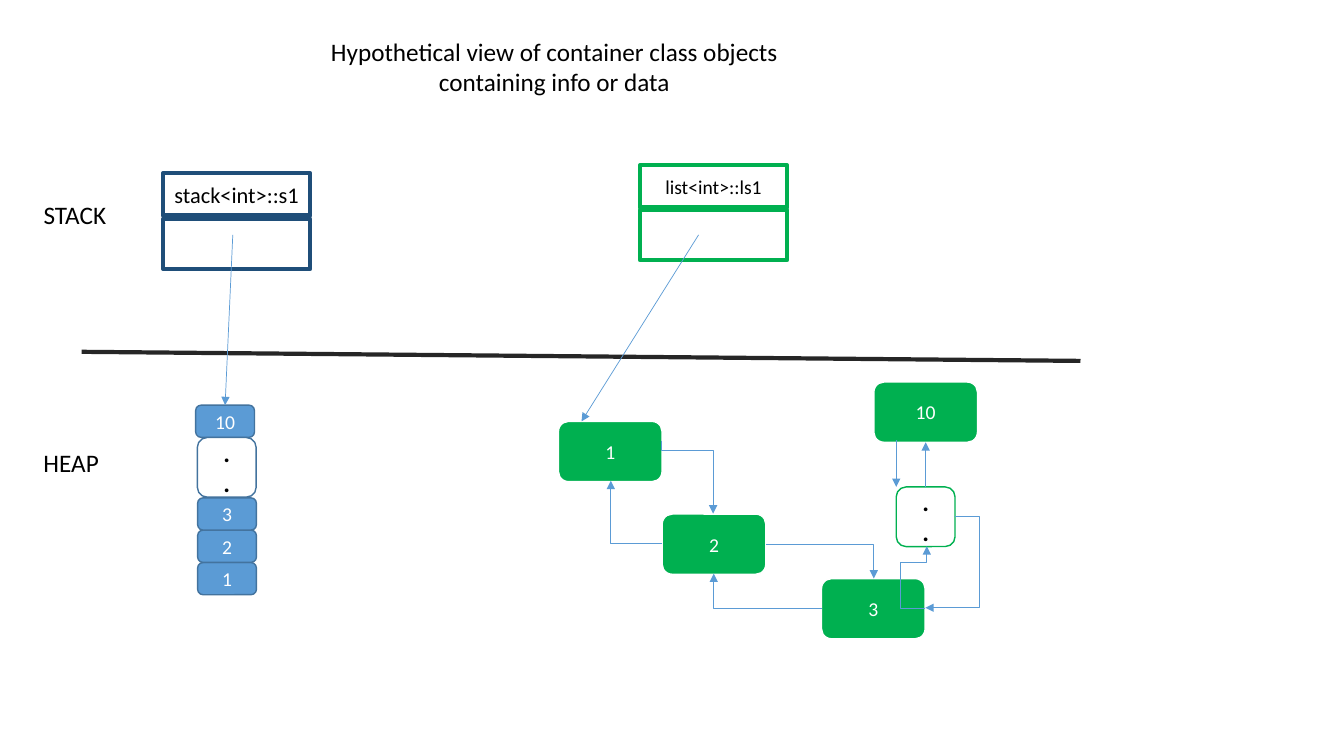
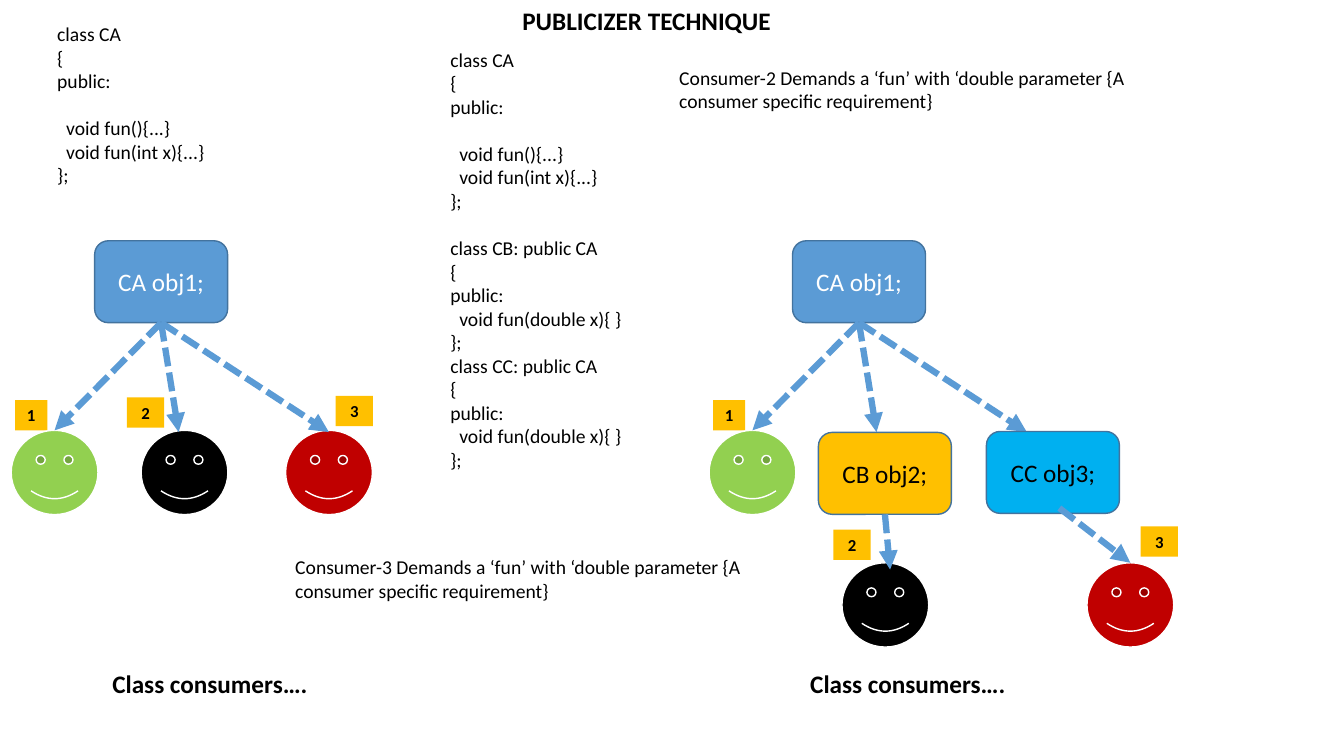
from dataclasses import dataclass
from typing import NamedTuple

from lxml import etree
from pptx import Presentation
from pptx import util as u
from pptx.dml.color import RGBColor
from pptx.enum import dml, shapes, text
from pptx.oxml.ns import qn

Kind = shapes.MSO_SHAPE
Align = text.PP_ALIGN
Anchor = text.MSO_ANCHOR


@dataclass(frozen=True)
class Theme:
    font: str = "Calibri"
    heading: int = 18
    label: int = 16
    body: int = 14
    tag: int = 12
    black: str = "000000"
    white: str = "FFFFFF"
    blue: str = "5B9BD5"
    edge: str = "43739E"
    navy: str = "1F4E79"
    green: str = "00B050"
    lime: str = "92D050"
    red: str = "C00000"
    amber: str = "FFC000"
    sky: str = "00B0F0"
    divider: str = "262626"


T = Theme()


class Point(NamedTuple):
    x: float
    y: float


class Site(NamedTuple):
    """A connection site on a shape: 0 top, 1 left, 2 bottom, 3 right."""
    shape: object
    index: int


class Box(NamedTuple):
    x: float
    y: float
    w: float
    h: float

    def emu(self) -> list:
        return [u.Pt(v) for v in self]


class Elbow(NamedTuple):
    preset: str
    box: Box
    rotation: int = 0
    flip: str = ""
    adjust: tuple = ()


class Consumer(NamedTuple):
    number: int
    color: str
    face: Point
    tag: Point
    tag_width: float = 26.6


def write(tf, content: str, *, size: int = T.body, color: str = T.black, bold: bool = False,
          align=Align.LEFT, anchor=Anchor.TOP) -> None:
    """Write one paragraph per line; blank lines become spacing, leading spaces an indent."""
    tf.word_wrap = True
    tf.auto_size = text.MSO_AUTO_SIZE.NONE
    tf.vertical_anchor = anchor
    p, gap = None, 0
    for line in content.split("\n"):
        if not line:
            gap = size * 1.2
            continue
        p = tf.paragraphs[0] if p is None else tf.add_paragraph()
        p.alignment = align
        p.space_before = u.Pt(gap)
        gap = 0
        if line.startswith(" "):
            p._p.get_or_add_pPr().set("marL", str(u.Pt(6.4)))
        r = p.add_run()
        r.text = line.strip()
        r.font.name, r.font.size, r.font.bold = T.font, u.Pt(size), bold
        r.font.color.rgb = RGBColor.from_string(color)


def add_text(s, box: Box, content: str, **style) -> None:
    write(s.shapes.add_textbox(*box.emu()).text_frame, content, **style)


def add_title(s, box: Box, content: str, bold: bool = False) -> None:
    sp = s.shapes.title
    sp.left, sp.top, sp.width, sp.height = box.emu()
    write(sp.text_frame, content, size=T.heading, bold=bold, align=Align.CENTER)


def add_shape(s, kind, box: Box, fill: str, line: str = "", width: float = 1,
              content: str = "", anchor=Anchor.MIDDLE, **style):
    sp = s.shapes.add_shape(kind, *box.emu())
    sp.shadow.inherit = False
    sp.fill.solid()
    sp.fill.fore_color.rgb = RGBColor.from_string(fill)
    if line:
        sp.line.color.rgb = RGBColor.from_string(line)
        sp.line.width = u.Pt(width)
    else:
        sp.line.fill.background()
    if content:
        write(sp.text_frame, content, align=Align.CENTER, anchor=anchor, **style)
    return sp


def style_line(c, color: str, width: float, dashed: bool, arrow: bool) -> None:
    c.line.color.rgb = RGBColor.from_string(color)
    c.line.width = u.Pt(width)
    if dashed:
        c.line.dash_style = dml.MSO_LINE.SQUARE_DOT
    properties = c._element.spPr
    if arrow:
        etree.SubElement(properties.find(qn("a:ln")), qn("a:tailEnd"), type="triangle")
    etree.SubElement(properties, qn("a:effectLst"))


def connect(s, start: Point | Site, end: Point | Site, *, color: str = T.blue,
            width: float = 0.5, dashed: bool = False, arrow: bool = True) -> None:
    """Draw a straight line, joined to a shape at each end given as a Site."""
    a, b = (e if isinstance(e, Point) else Point(0, 0) for e in (start, end))
    c = s.shapes.add_connector(shapes.MSO_CONNECTOR.STRAIGHT,
                               u.Pt(a.x), u.Pt(a.y), u.Pt(b.x), u.Pt(b.y))
    if isinstance(start, Site):
        c.begin_connect(*start)
    if isinstance(end, Site):
        c.end_connect(*end)
    style_line(c, color, width, dashed, arrow)


def add_elbow(s, elbow: Elbow) -> None:
    x, y, w, h = elbow.box
    c = s.shapes.add_connector(shapes.MSO_CONNECTOR.ELBOW,
                               u.Pt(x), u.Pt(y), u.Pt(x + w), u.Pt(y + h))
    xfrm = c._element.spPr.find(qn("a:xfrm"))
    if elbow.rotation:
        xfrm.set("rot", str(elbow.rotation * 60000))
    if elbow.flip:
        xfrm.set(f"flip{elbow.flip}", "1")
    geometry = c._element.spPr.find(qn("a:prstGeom"))
    geometry.set("prst", elbow.preset)
    guides = geometry.find(qn("a:avLst"))
    for i, value in enumerate(elbow.adjust, 1):
        etree.SubElement(guides, qn("a:gd"), name=f"adj{i}",
                         fmla=f"val {round(value * 100000)}")
    style_line(c, T.blue, 0.5, False, True)


def add_variable(s, x: float, y: float, gap: float, name: str, color: str, size: int) -> None:
    """Draw a stack variable: a name cell over an empty pointer cell."""
    add_shape(s, Kind.RECTANGLE, Box(x, y, 105, 30.2), T.white, color, 3, name, size=size)
    add_shape(s, Kind.RECTANGLE, Box(x, y + gap, 105, 36), T.white, color, 3)


def add_dots(s, x: float, y: float, line: str):
    return add_shape(s, Kind.ROUNDED_RECTANGLE, Box(x, y, 42, 42.6), T.white, line,
                     content=".\n.", size=T.heading, bold=True)


def build_containers(s) -> None:
    add_title(s, Box(224.6, 22.3, 342.7, 51), "Hypothetical view of container class objects "
              "containing info or data")
    add_text(s, Box(24, 139, 101, 29), "STACK", size=T.heading)
    add_text(s, Box(24, 316, 69, 30), "HEAP", size=T.heading)
    connect(s, Point(58.3, 251.3), Point(771.8, 257.8), color=T.divider, width=3, arrow=False)
    add_variable(s, 116.6, 123.8, 32.4, "stack<int>::s1", T.navy, T.label)
    add_variable(s, 457.2, 118, 31.8, "list<int>::ls1", T.green, T.body)

    bottom, step = 401.8, 23.1
    blocks = [(str(n), Point(141.2, bottom - (n - 1) * step)) for n in (1, 2, 3)]
    for label, (x, y) in blocks + [("10", Point(139.8, 289.4))]:
        block = add_shape(s, Kind.ROUNDED_RECTANGLE, Box(x, y, 42, 23), T.blue, T.edge,
                          content=label, color=T.white)
    add_dots(s, 141, 312.5, T.edge)
    connect(s, Point(166.3, 167.8), Site(block, 0))

    nodes = {"1": Point(398.9, 301), "2": Point(473, 367.2),
             "3": Point(586.8, 413.3), "10": Point(624.2, 272.9)}
    for label, (x, y) in nodes.items():
        last = add_shape(s, Kind.ROUNDED_RECTANGLE, Box(x, y, 74, 43), T.green, T.white,
                         content=label, color=T.white)
    dots = add_dots(s, 640.2, 347.8, T.green)
    connect(s, Point(499, 167.8), Point(415.4, 301))
    connect(s, Point(640.2, 314.6), Point(640.2, 347.8))
    connect(s, Site(dots, 0), Site(last, 2))
    for elbow in (
        Elbow("bentConnector3", Box(465.1, 322.6, 51.8, 36.7), 270, "H", (0.135,)),
        Elbow("bentConnector2", Box(436.3, 343.4, 36.7, 44.6), 180),
        Elbow("bentConnector2", Box(547.2, 388.8, 77, 24.5)),
        Elbow("bentConnector2", Box(509.8, 409.7, 77, 24.5), 180),
        Elbow("bentConnector4", Box(661, 390.2, 1, 44.6), 0, "V", (-18, 0.742)),
        Elbow("bentConnector3", Box(661, 368.6, 20.9, 65.5), 0, "H", (-0.862,)),
    ):
        add_elbow(s, elbow)


CLASS_CA = "class CA\n{\npublic:\n\n  void fun(){...}\n  void fun(int x){...}\n};"
SUBCLASS = "class %s: public CA\n{\npublic:\n  void fun(double x){ }\n};"
RIGHT = 498.5


def add_object(s, x: float, y: float, name: str, fill: str, color: str = T.black):
    return add_shape(s, Kind.ROUNDED_RECTANGLE, Box(x, y, 95, 58.5), fill, T.edge,
                     content=name, size=T.heading, color=color)


def add_consumer(s, consumer: Consumer):
    add_shape(s, Kind.RECTANGLE, Box(*consumer.tag, consumer.tag_width, 21.6), T.amber,
              content=str(consumer.number), anchor=Anchor.TOP, size=T.tag, bold=True)
    return add_shape(s, Kind.SMILEY_FACE, Box(*consumer.face, 62, 60.2), consumer.color, T.white)


def dashed_arrow(s, start: Point | Site, end: Point | Site) -> None:
    connect(s, start, end, width=4.5, dashed=True)


def add_consumer_side(s, dx: float, others: list[Consumer]) -> list:
    """Draw obj1 with its three arrows, its consumers and the caption, and return the faces."""
    obj1 = add_object(s, 67.6 + dx, 172, "CA obj1;", T.blue, T.white)
    first = Consumer(1, T.lime, Point(8 + dx, 307.4), Point(10.8 + dx, 285.8), 23)
    faces = [add_consumer(s, consumer) for consumer in [first, *others]]
    for end in (Site(faces[0], 0), Point(127.6 + dx, 308.6), Point(234.9 + dx, 308.6)):
        dashed_arrow(s, Site(obj1, 2), end)
    add_text(s, Box(65 + dx, 473.8, 170, 29), "Class consumers….",
             size=T.heading, bold=True, align=Align.CENTER)
    return faces


def build_publicizer(s) -> None:
    add_title(s, Box(348.5, 0, 226.8, 29), "PUBLICIZER TECHNIQUE", bold=True)
    add_text(s, Box(33.8, 12.2, 177, 126), CLASS_CA)
    add_text(s, Box(314.6, 30.5, 177, 346),
             CLASS_CA + "\n\n" + "\n".join(SUBCLASS % name for name in ("CB", "CC")))
    for number, x, y in ((2, 478.1, 43.2), (3, 203.8, 393.1)):
        add_text(s, Box(x, y, 391.7, 41), f"Consumer-{number} Demands a ‘fun’ with "
                 "‘double parameter {A consumer specific requirement}")

    add_consumer_side(s, 0, [
        Consumer(2, T.black, Point(100.8, 307.4), Point(90.7, 283.9)),
        Consumer(3, T.red, Point(204, 307.4), Point(239.8, 282.8))])
    faces = add_consumer_side(s, RIGHT, [
        Consumer(2, T.black, Point(601.4, 402), Point(595.4, 378.4)),
        Consumer(3, T.red, Point(776.4, 402), Point(814.8, 376))])
    obj2 = add_object(s, 584.6, 308.9, "CB obj2;", T.amber)
    add_object(s, 704.6, 308.2, "CC obj3;", T.sky)
    dashed_arrow(s, Site(obj2, 2), Point(635.8, 406.8))
    dashed_arrow(s, Point(756.7, 362.9), Site(faces[2], 0))


def main() -> None:
    prs = Presentation()
    prs.slide_width, prs.slide_height = u.Pt(960), u.Pt(540)
    title_only = prs.slide_layouts[5]
    for build in (build_containers, build_publicizer):
        build(prs.slides.add_slide(title_only))
    prs.save("out.pptx")


if __name__ == "__main__":
    main()
